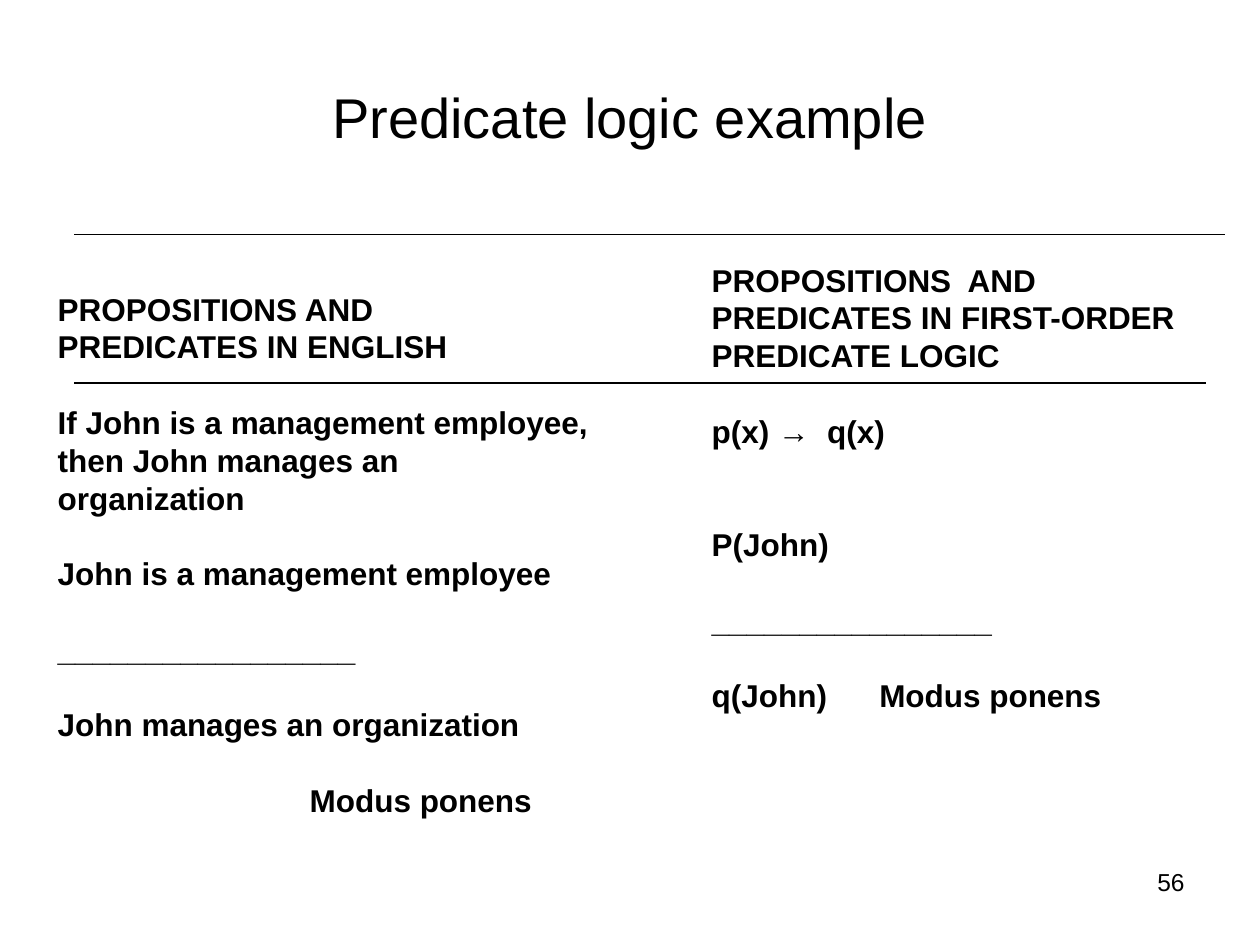
from lxml import etree
from pptx import Presentation
from pptx import util as u
from pptx.dml.color import RGBColor
from pptx.enum import shapes, text
from pptx.oxml import ns

BLACK = RGBColor(0, 0, 0)
WHITE = RGBColor(255, 255, 255)
LINE_PITCH = 21.6


class Deck:
    font = "Arial"

    def __init__(self, width, height):
        self.prs = Presentation()
        self.prs.slide_width = u.Inches(width)
        self.prs.slide_height = u.Inches(height)
        self.s = self.prs.slides.add_slide(self.prs.slide_layouts[6])
        self.s.background.fill.solid()
        self.s.background.fill.fore_color.rgb = WHITE

    def box(self, box, anchor=text.MSO_ANCHOR.TOP, wrap=True):
        tf = self.s.shapes.add_textbox(*map(u.Inches, box)).text_frame
        tf.word_wrap = wrap
        tf.vertical_anchor = anchor
        return tf

    def style(self, p, size, bold=False):
        p.font.name = self.font
        p.font.size = u.Pt(size)
        p.font.bold = bold
        p.font.color.rgb = BLACK

    def label(self, box, words, size, align, anchor=text.MSO_ANCHOR.TOP):
        p = self.box(box, anchor).paragraphs[0]
        p.text = words
        p.alignment = align
        self.style(p, size)

    def column(self, box, lines, tab):
        tf = self.box(box, wrap=False)
        for i, (gap, words) in enumerate(lines):
            p = tf.paragraphs[0] if i == 0 else tf.add_paragraph()
            p.text = words
            p.line_spacing = u.Pt(LINE_PITCH)
            p.space_before = u.Pt(gap * LINE_PITCH)
            if "\t" in words:
                tabs = etree.SubElement(p._p.get_or_add_pPr(), ns.qn("a:tabLst"))
                etree.SubElement(tabs, ns.qn("a:tab"), pos=str(u.Inches(tab)), algn="l")
            self.style(p, 18, True)

    def rule(self, left, right, y):
        ends = map(u.Inches, (left, y, right, y))
        c = self.s.shapes.add_connector(shapes.MSO_CONNECTOR.STRAIGHT, *ends)
        c.line.color.rgb = BLACK
        c.line.width = u.Pt(0.75)
        etree.SubElement(c._element.spPr, ns.qn("a:effectLst"))


ENGLISH = [
    (0, "PROPOSITIONS AND"),
    (0, "PREDICATES IN ENGLISH"),
    (1, "If John is a management employee,"),
    (0, "then John manages an organization"),
    (1, "John is a management employee"),
    (1, "_" * 17),
    (1, "John manages an organization"),
    (1, "\tModus ponens"),
]
LOGIC = [
    (0, "PROPOSITIONS  AND"),
    (0, "PREDICATES IN FIRST-ORDER"),
    (0, "PREDICATE LOGIC"),
    (1, "p(x) →  q(x)"),
    (2, "P(John)"),
    (1, "_" * 16),
    (1, "q(John)\tModus ponens"),
]


def main():
    deck = Deck(10, 7.5)
    deck.label((7.17, 6.83, 2.33, 0.52), "56", 14, text.PP_ALIGN.RIGHT)
    deck.label((0.5, 0.3, 9, 1.25), "Predicate logic example", 32,
               text.PP_ALIGN.CENTER, text.MSO_ANCHOR.MIDDLE)
    deck.column((0.36, 2.25, 4.46, 4.3), ENGLISH, 2)
    deck.column((5.55, 2.02, 3.91, 4), LOGIC, 1.33)
    deck.rule(0.59, 9.57, 3.04)
    deck.rule(0.59, 9.72, 1.86)
    deck.prs.save("out.pptx")


if __name__ == "__main__":
    main()
